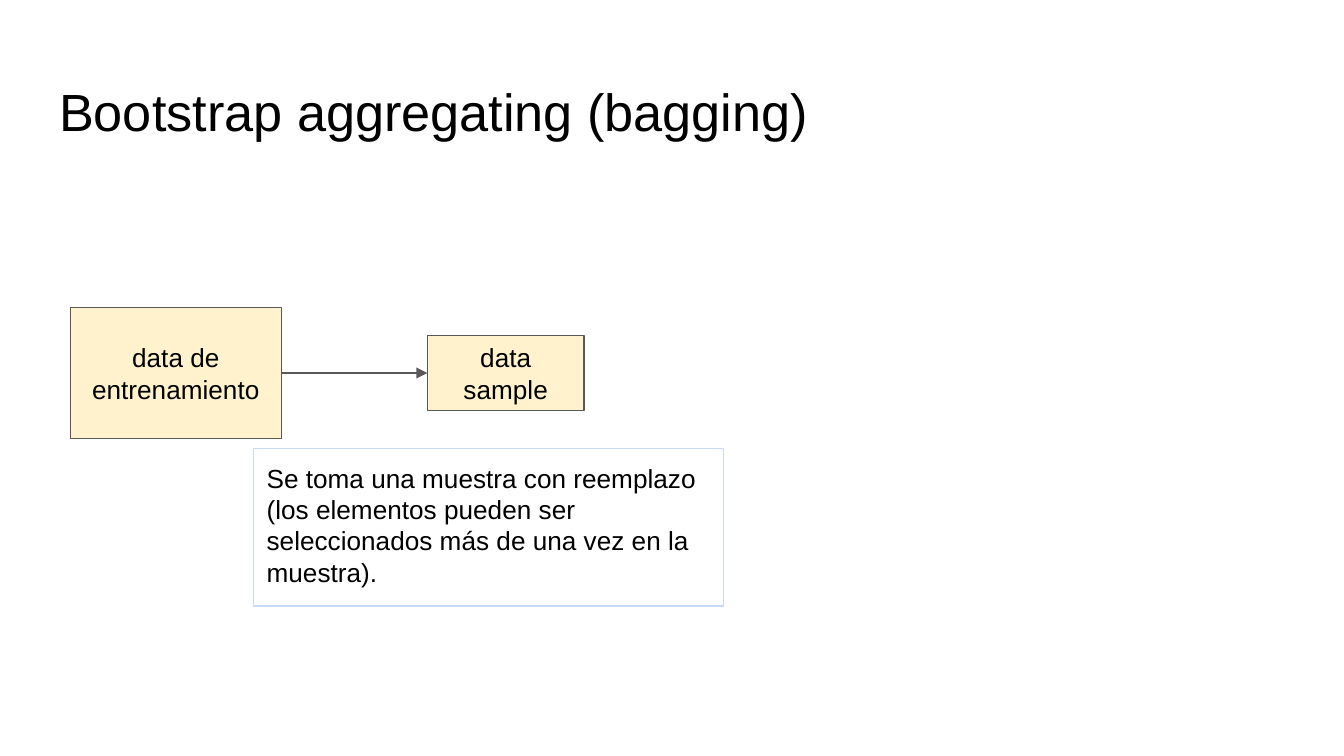
from lxml.etree import SubElement
from pptx import Presentation
from pptx.dml.color import RGBColor
from pptx.enum.shapes import MSO_CONNECTOR, MSO_SHAPE
from pptx.enum.text import MSO_ANCHOR as ANCHOR, PP_ALIGN as ALIGN
from pptx.oxml.ns import qn
from pptx.util import Inches, Pt

BLACK = RGBColor(0x00, 0x00, 0x00)
GRAY = RGBColor(0x59, 0x59, 0x59)
CREAM = RGBColor(0xFF, 0xF2, 0xCC)
PALE_BLUE = RGBColor(0xC9, 0xDA, 0xF8)

WIDTH = Inches(10)
HEIGHT = WIDTH * 9 // 16
FLOW_Y = 49.35  # common centre of the boxes and the arrow


def x(percent):
    return round(WIDTH * percent / 100)


def y(percent):
    return round(HEIGHT * percent / 100)


def write(sp, text, size=14, align=ALIGN.LEFT, anchor=ANCHOR.TOP):
    tf = sp.text_frame
    tf.word_wrap = True
    tf.vertical_anchor = anchor
    tf.margin_left = tf.margin_right = Inches(0.1)
    tf.margin_top = tf.margin_bottom = Inches(0.1)
    p = tf.paragraphs[0]
    p.alignment = align
    r = p.add_run()
    r.text = text
    r.font.name = "Arial"
    r.font.size = Pt(size)
    r.font.color.rgb = BLACK


def add_title(slide, text):
    sp = slide.shapes.title
    sp.left, sp.top, sp.width, sp.height = x(3.4), y(8.65), x(93.2), y(11.2)
    write(sp, text, size=28)


def add_box(slide, text, left, top, width, height, line, fill=None, **fmt):
    """Add a bordered rectangle, placed in percent of the slide."""
    sp = slide.shapes.add_shape(
        MSO_SHAPE.RECTANGLE, x(left), y(top), x(width), y(height))
    sp.shadow.inherit = False
    if fill is None:
        sp.fill.background()
    else:
        sp.fill.solid()
        sp.fill.fore_color.rgb = fill
    sp.line.color.rgb = line
    sp.line.width = Pt(0.75)
    write(sp, text, **fmt)
    return sp


def add_data_box(slide, text, left, width, height):
    """Add a filled box centred on the flow line."""
    return add_box(slide, text, left, FLOW_Y - height / 2, width, height,
                   GRAY, CREAM, align=ALIGN.CENTER, anchor=ANCHOR.MIDDLE)


def add_arrow(slide, source, target):
    """Join the right side of source to the left side of target."""
    line = slide.shapes.add_connector(MSO_CONNECTOR.STRAIGHT, 0, 0, 0, 0)
    line.begin_connect(source, 3)
    line.end_connect(target, 1)
    line.line.color.rgb = GRAY
    line.line.width = Pt(0.75)
    sp_pr = line._element.spPr
    SubElement(sp_pr.get_or_add_ln(), qn("a:tailEnd"), type="triangle")
    SubElement(sp_pr, qn("a:effectLst"))


def main():
    prs = Presentation()
    prs.slide_width, prs.slide_height = WIDTH, HEIGHT
    slide = prs.slides.add_slide(prs.slide_layouts[5])

    add_title(slide, "Bootstrap aggregating (bagging)")
    training = add_data_box(slide, "data de entrenamiento", 5.24, 15.7, 17.3)
    sample = add_data_box(slide, "data sample", 31.8, 11.66, 9.9)
    add_arrow(slide, training, sample)
    add_box(slide, "Se toma una muestra con reemplazo (los elementos pueden ser "
            "seleccionados más de una vez en la muestra).",
            18.86, 59.35, 34.97, 20.8, PALE_BLUE)

    prs.save("out.pptx")


if __name__ == "__main__":
    main()
